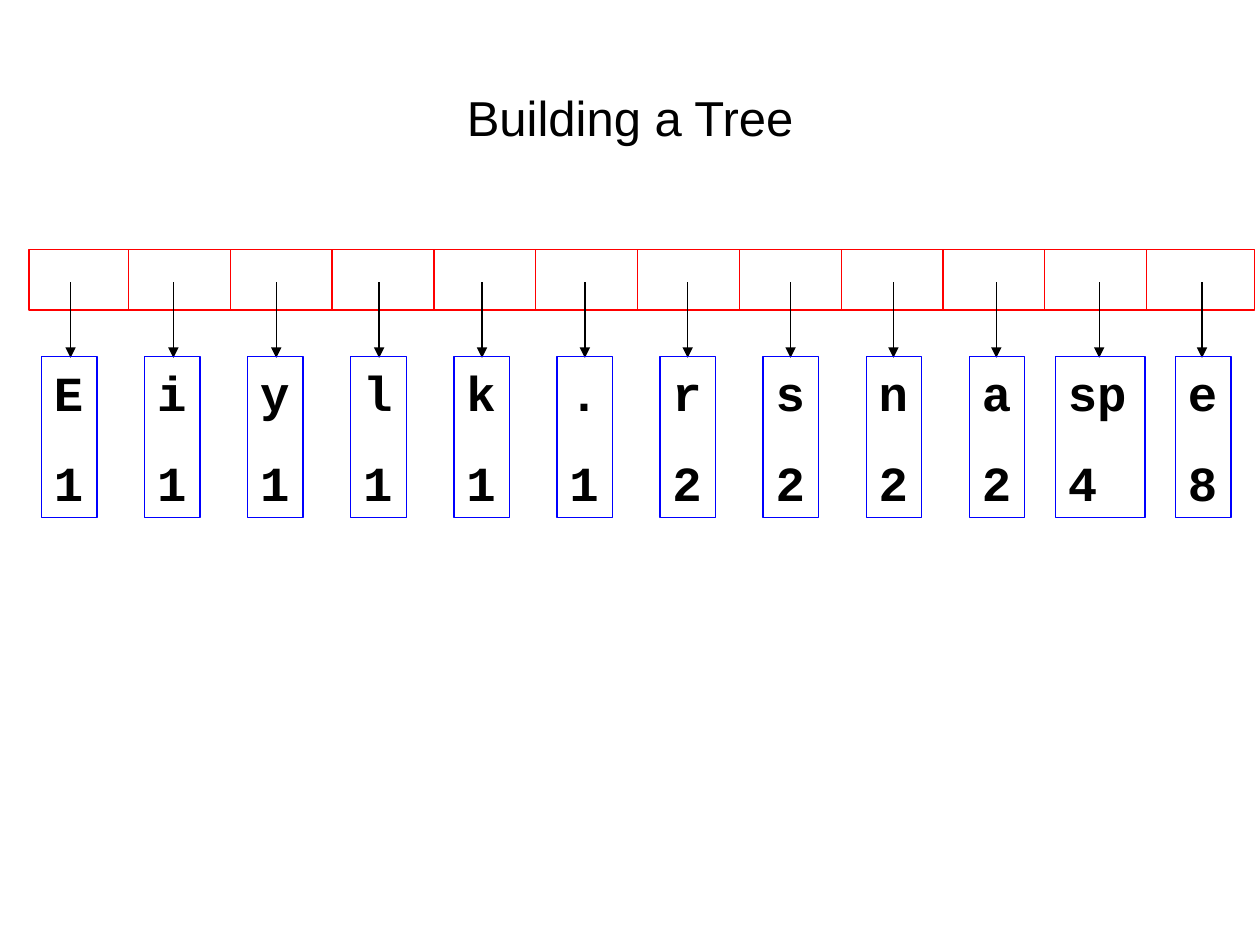
from pptx import Presentation
from pptx import util as u
from pptx.dml.color import RGBColor
from pptx.enum import shapes, text
from pptx.oxml.ns import qn
from lxml import etree

TITLE = "Building a Tree"
NODES = [("E", 1), ("i", 1), ("y", 1), ("l", 1), ("k", 1), (".", 1),
         ("r", 2), ("s", 2), ("n", 2), ("a", 2), ("sp", 4), ("e", 8)]
COLORS = {"queue": "FF0000", "node": "0000FF", "ink": "000000", "paper": "FFFFFF"}

QUEUE = (0.23, 1.98, 9.73, 0.48)
DIVIDERS = (1.02, 9.1)          # first and last
ARROWS = (0.56, 9.54)
NODE_CENTRES = (0.55, 9.55)
ARROW_TOP, ARROW_END = 2.24, 2.84
NODE_TOP, NODE_HEIGHT = 2.83, 1.28
NODE_BASE_WIDTH, CHAR_WIDTH = 0.17, 0.27


def color(name):
    return RGBColor.from_string(COLORS[name])


def spread(ends, count):
    """Return count equally spaced positions from the first end to the last."""
    first, last = ends
    return [first + (last - first) * i / (count - 1) for i in range(count)]


def add_box(s, left, top, width, height, line):
    sp = s.shapes.add_shape(shapes.MSO_SHAPE.RECTANGLE,
                            *map(u.Inches, (left, top, width, height)))
    sp.shadow.inherit = False
    sp.fill.background()
    sp.line.color.rgb = color(line)
    sp.line.width = u.Pt(0.75)
    return sp


def add_vertical(s, x, top, bottom, line, arrow=False):
    c = s.shapes.add_connector(shapes.MSO_CONNECTOR.STRAIGHT,
                               *map(u.Inches, (x, top, x, bottom)))
    c.line.color.rgb = color(line)
    c.line.width = u.Pt(0.75)
    if arrow:
        etree.SubElement(c.line._get_or_add_ln(), qn("a:tailEnd"), type="triangle")
    etree.SubElement(c._element.spPr, qn("a:effectLst"))


def add_run(p, content, font, bold=False):
    r = p.add_run()
    r.text = str(content)
    r.font.name, r.font.size, r.font.bold = font, u.Pt(28), bold
    r.font.color.rgb = color("ink")


def add_node(s, centre, symbol, count):
    width = NODE_BASE_WIDTH + CHAR_WIDTH * len(symbol)
    sp = add_box(s, centre - width / 2, NODE_TOP, width, NODE_HEIGHT, "node")
    tf = sp.text_frame
    tf.word_wrap = True
    tf.vertical_anchor = text.MSO_ANCHOR.TOP
    tf.margin_left = tf.margin_right = u.Inches(0.1)
    tf.margin_top = tf.margin_bottom = u.Inches(0.05)
    lines = [tf.paragraphs[0], tf.add_paragraph()]
    lines[1].space_before = u.Pt(17.5)
    for p, content in zip(lines, (symbol, count)):
        p.alignment = text.PP_ALIGN.LEFT
        add_run(p, content, "Courier New", bold=True)


def main():
    prs = Presentation()
    prs.slide_width, prs.slide_height = u.Inches(10), u.Inches(7.5)
    s = prs.slides.add_slide(prs.slide_layouts[5])

    title = s.shapes.title
    title.left, title.top, title.width, title.height = map(u.Inches, (0.5, 0.3, 9, 1.25))
    title.text_frame.vertical_anchor = text.MSO_ANCHOR.MIDDLE
    p = title.text_frame.paragraphs[0]
    p.alignment = text.PP_ALIGN.CENTER
    add_run(p, TITLE, "Arial")

    queue = add_box(s, *QUEUE, "queue")
    queue.fill.solid()
    queue.fill.fore_color.rgb = color("paper")
    for x in spread(DIVIDERS, len(NODES) - 1):
        add_vertical(s, x, QUEUE[1], QUEUE[1] + QUEUE[3], "queue")
    for x in spread(ARROWS, len(NODES)):
        add_vertical(s, x, ARROW_TOP, ARROW_END, "ink", arrow=True)
    for x, (symbol, count) in zip(spread(NODE_CENTRES, len(NODES)), NODES):
        add_node(s, x, symbol, count)

    prs.save("out.pptx")


if __name__ == "__main__":
    main()
